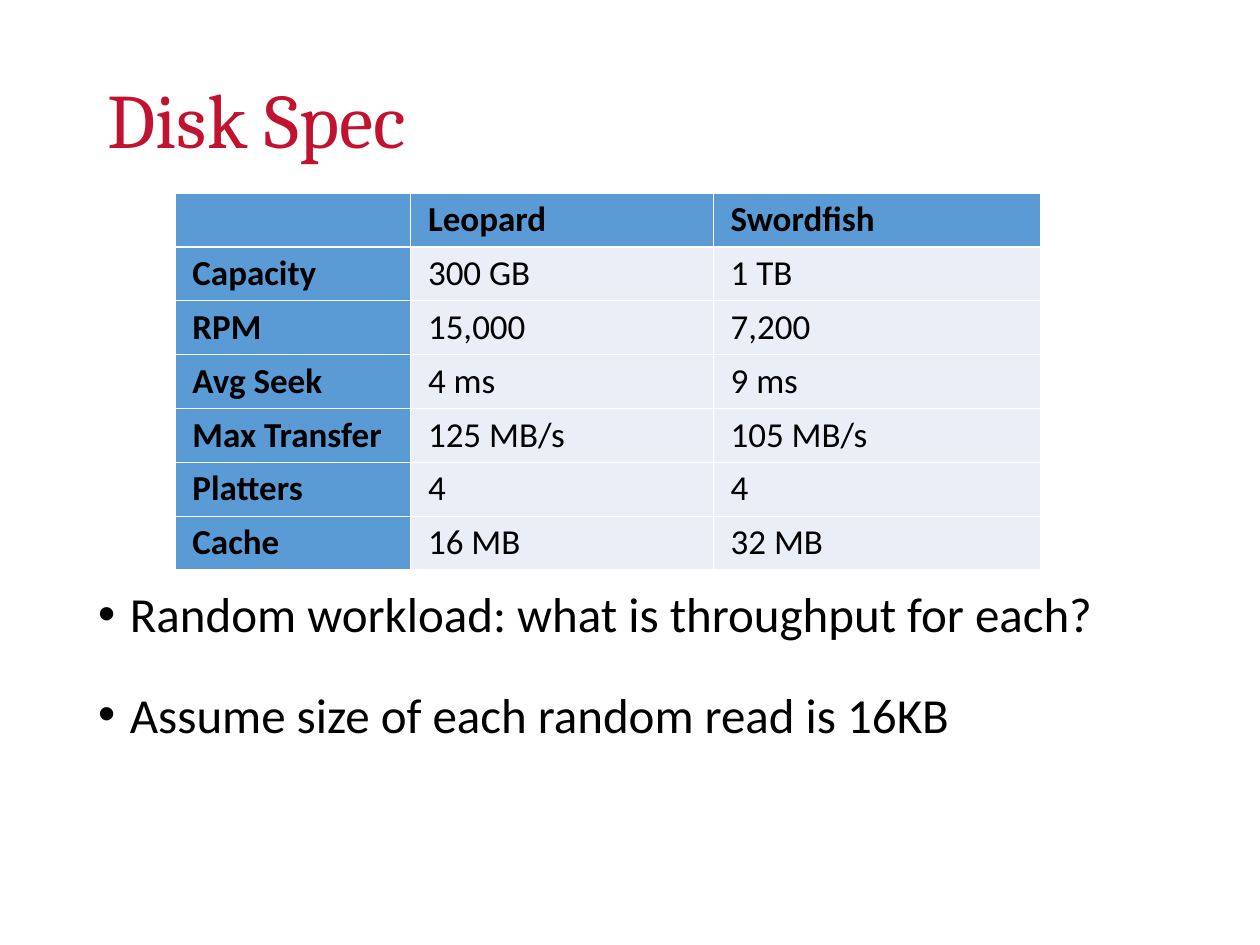
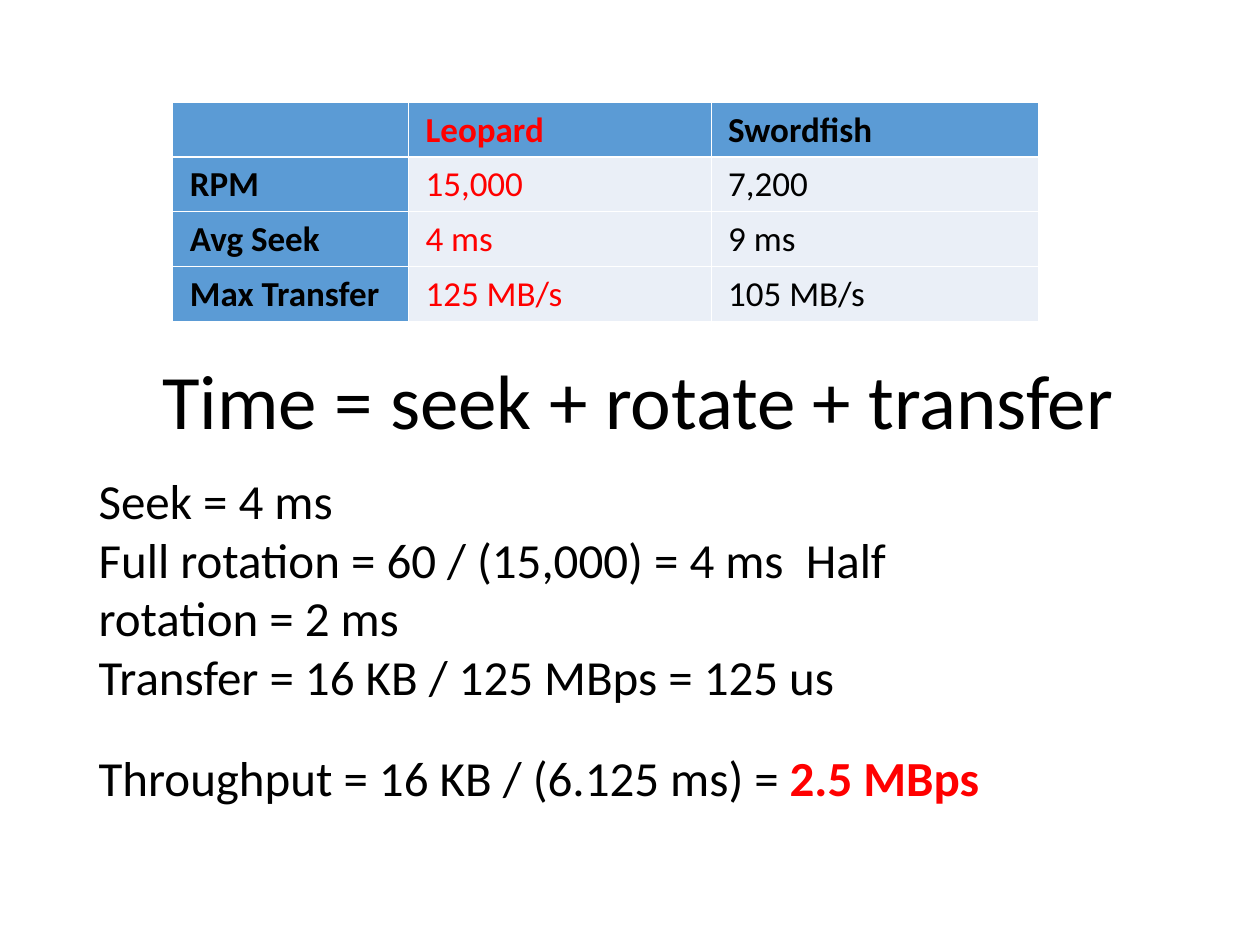
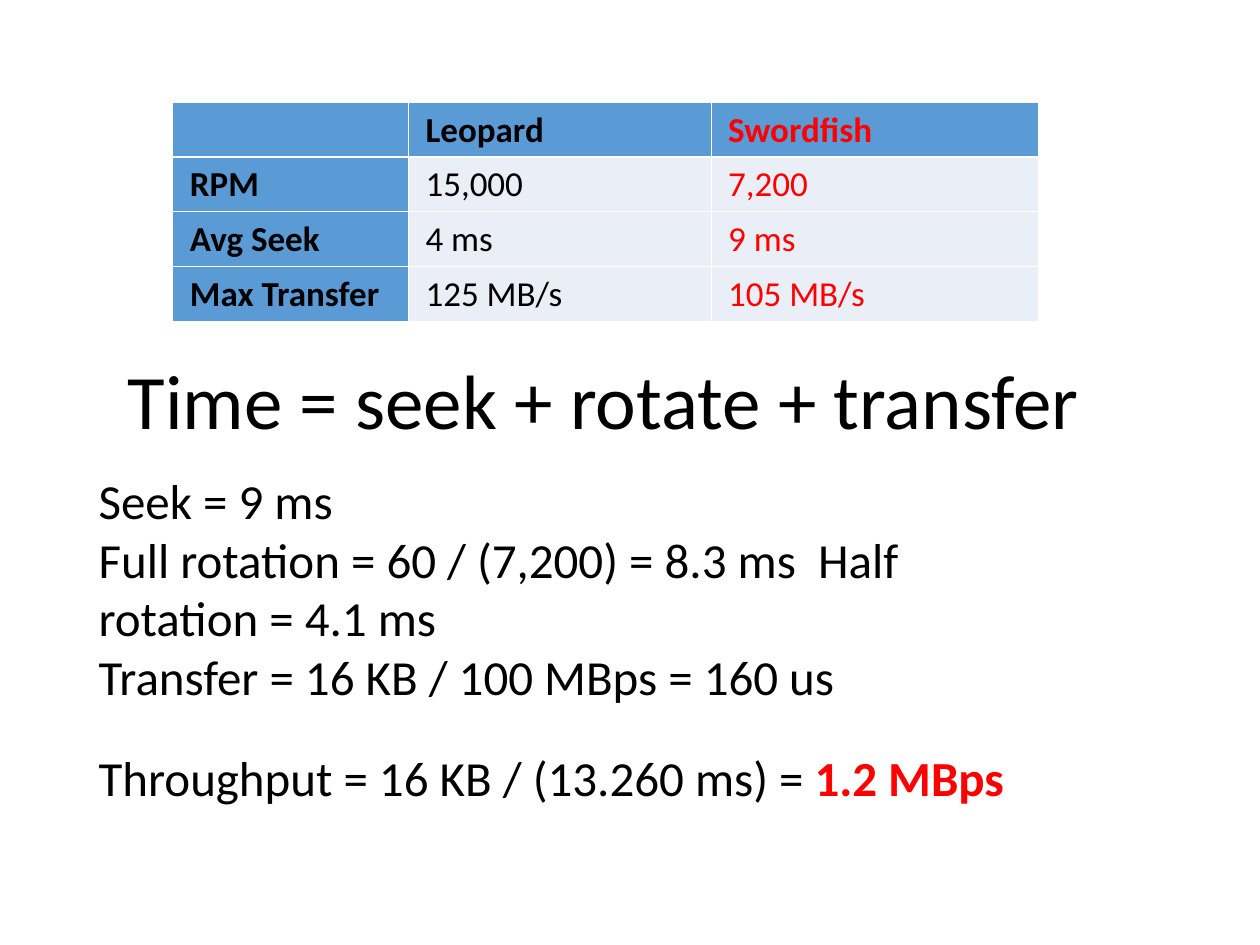
import lxml.etree
import pptx
import pptx.dml.color
import pptx.enum.text
import pptx.oxml.ns
import pptx.util

Cm, Pt = pptx.util.Cm, pptx.util.Pt
qn = pptx.oxml.ns.qn

# Shared look
BLACK, RED, CRIMSON, WHITE = "000000", "FF0000", "C1122F", "FFFFFF"
BLUE, PALE = "5B9BD5", "EAEFF7"
SANS, SERIF = "Calibri", "Cambria"
LEFT = 1.96
WIDTHS = (4.75, 6.1, 6.6)
ROW = 1.05

# Disk data
DISKS = ("", "Leopard", "Swordfish")
SPECS = {
    "Capacity": ("300 GB", "1 TB"),
    "RPM": ("15,000", "7,200"),
    "Avg Seek": ("4 ms", "9 ms"),
    "Max Transfer": ("125 MB/s", "105 MB/s"),
    "Platters": ("4", "4"),
    "Cache": ("16 MB", "32 MB"),
}
TIMING = ("RPM", "Avg Seek", "Max Transfer")


def color(code):
    return pptx.dml.color.RGBColor.from_string(code)


def style(run, size, tint=BLACK, face=SANS, bold=False):
    font = run.font
    font.size, font.name, font.bold = Pt(size), face, bold
    font.color.rgb = color(tint)


def frame(slide, box):
    """Add an empty text box with tight margins."""
    text = slide.shapes.add_textbox(*map(Cm, box)).text_frame
    text.word_wrap = True
    text.margin_left = text.margin_right = text.margin_bottom = 0
    text.margin_top = Cm(0.06)
    return text


def title(slide, box, words, tint=BLACK, face=SANS):
    text = frame(slide, box)
    text.vertical_anchor = pptx.enum.text.MSO_ANCHOR.MIDDLE
    text.text = words
    line = text.paragraphs[0]
    line.alignment = pptx.enum.text.PP_ALIGN.CENTER
    style(line.runs[0], 44, tint, face)


def bullet(line):
    props = line._p.get_or_add_pPr()
    props.set("marL", str(Cm(0.66)))
    props.set("indent", str(Cm(-0.64)))
    lxml.etree.SubElement(props, qn("a:buFont")).set("typeface", "Arial")
    lxml.etree.SubElement(props, qn("a:buChar")).set("char", "•")


def body(slide, box, lines, dots=False, answer=""):
    """Write lines, the last one set apart and ending in the answer."""
    text = frame(slide, box)
    text.text = "\n".join(lines)
    for line in text.paragraphs:
        if dots:
            bullet(line)
        else:
            line._p.get_or_add_pPr().set("marL", str(Cm(0.03)))
        style(line.runs[0], 28)
    last = text.paragraphs[-1]
    last.space_before = Pt(24)
    if answer:
        run = last.add_run()
        run.text = answer
        style(run, 28, RED, bold=True)


def border(cell, row):
    props = cell._tc.get_or_add_tcPr()
    thick = {0: "B", 1: "T"}.get(row)
    for side in "LRTB":
        width = 1.47 if side == thick else 0.45
        edge = lxml.etree.SubElement(props, qn("a:ln" + side))
        edge.set("w", str(Pt(width)))
        fill = lxml.etree.SubElement(edge, qn("a:solidFill"))
        lxml.etree.SubElement(fill, qn("a:srgbClr")).set("val", WHITE)


def grid(slide, left, top, names, pad, mark=None):
    """Tabulate the named specs, with the marked column in red."""
    rows = [DISKS] + [(name, *SPECS[name]) for name in names]
    table = slide.shapes.add_table(
        len(rows), len(WIDTHS), Cm(left), Cm(top),
        Cm(sum(WIDTHS)), Cm(ROW * len(rows))).table
    table.horz_banding = False
    for col, width in zip(table.columns, WIDTHS):
        col.width = Cm(width)
    for r, values in enumerate(rows):
        table.rows[r].height = Cm(ROW)
        for c, value in enumerate(values):
            cell = table.cell(r, c)
            head = r == 0 or c == 0
            border(cell, r)
            cell.fill.solid()
            cell.fill.fore_color.rgb = color(BLUE if head else PALE)
            cell.margin_left, cell.margin_top = Cm(0.35), Cm(pad)
            cell.text = value
            for run in cell.text_frame.paragraphs[0].runs:
                style(run, 20, RED if c == mark else BLACK, bold=head)


def intro(slide):
    title(slide, (LEFT, 1.37, 6.43, 1.93), "Disk Spec", CRIMSON, SERIF)
    body(slide, (LEFT, 11.71, 20.14, 3.25),
         ["Random workload: what is throughput for each?",
          "Assume size of each random read is 16KB"], dots=True)
    grid(slide, 3.53, 3.89, SPECS, 0.11)


def worked(slide, mark, wide, span, seek, full, half, rate, move, total, answer):
    """Work out one disk; wide and span are the title and body widths."""
    grid(slide, 3.48, 2.06, TIMING, 0.13, mark)
    title(slide, (LEFT, 7.06, wide, 1.9), "Time = seek + rotate + transfer")
    rpm = SPECS["RPM"][mark - 1]
    body(slide, (LEFT, 9.42, span, 6.81),
         [f"Seek = {seek} ms",
          f"Full rotation = 60 / ({rpm}) = {full} ms  Half rotation = {half} ms",
          f"Transfer = 16 KB / {rate} MBps = {move} us",
          f"Throughput = 16 KB / ({total} ms) = "], answer=answer)


def main():
    deck = pptx.Presentation()
    deck.slide_width, deck.slide_height = Cm(25.4), Cm(19.05)
    first, second, third = (
        deck.slides.add_slide(deck.slide_layouts[6]) for _ in range(3))
    intro(first)
    worked(second, 1, 21.82, 17.88, "4", "4", "2", "125", "125", "6.125",
           "2.5 MBps")
    worked(third, 2, 20.42, 18.39, "9", "8.3", "4.1", "100", "160", "13.260",
           "1.2 MBps")
    deck.save("out.pptx")


if __name__ == "__main__":
    main()
